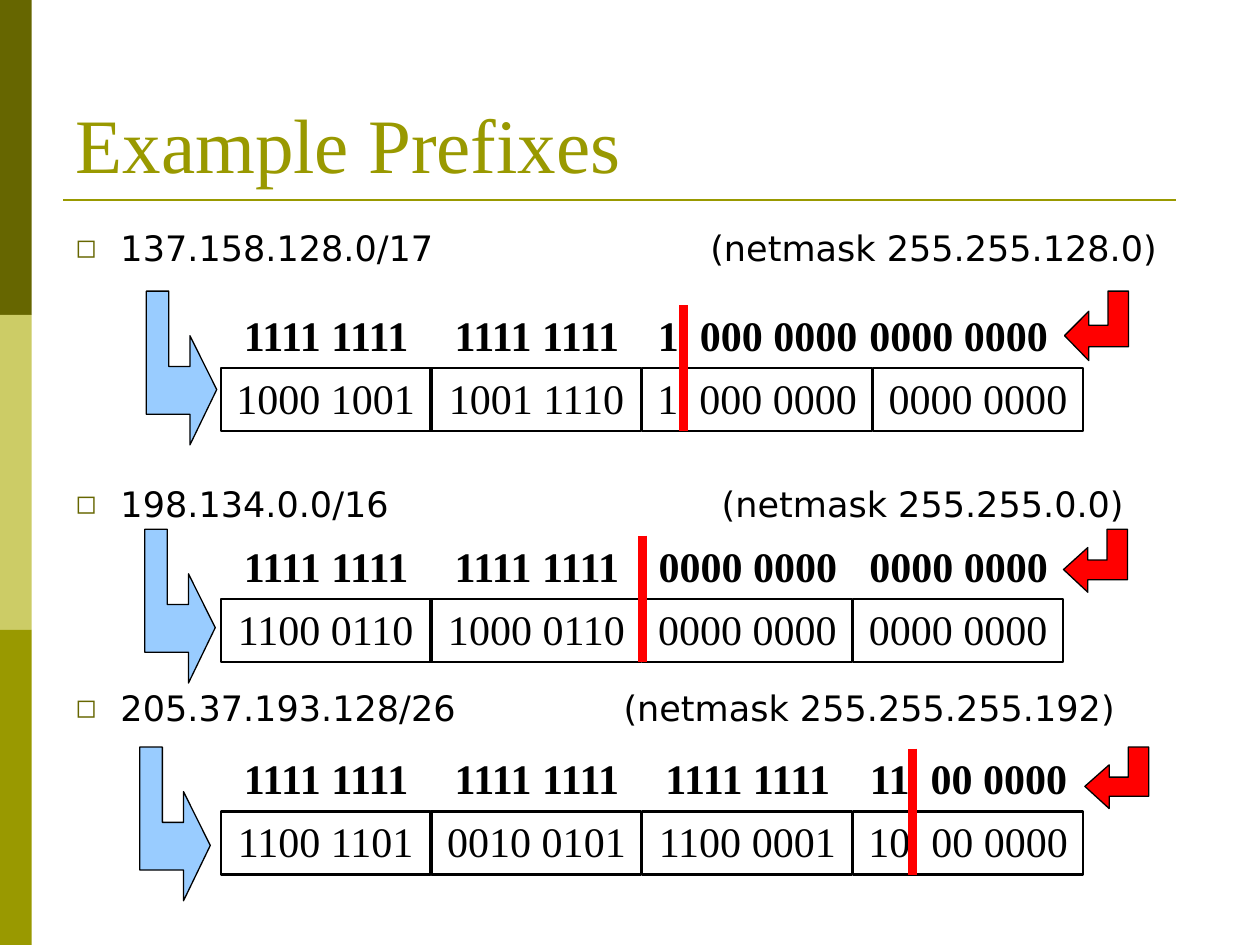
from lxml.etree import SubElement
from pptx import Presentation
from pptx.dml.color import RGBColor
from pptx.enum.shapes import MSO_CONNECTOR, MSO_SHAPE
from pptx.enum.text import MSO_ANCHOR, MSO_AUTO_SIZE, PP_ALIGN
from pptx.oxml.ns import qn
from pptx.util import Cm, Pt

THEME = {
    "dark": "666600", "light": "CCCC66", "olive": "999900",
    "ink": "000000", "blue": "99CCFF", "red": "FF0000",
    "serif": "Times New Roman", "sans": "DejaVu Sans",
    "title": 44, "body": 20, "bits": 24,
}

# Lengths are in cm. A "|" in the bits marks where the prefix ends.
STEP, WIDE, HIGH, LEFT = 4.25, 4.65, 1.27, 4.45
ROWS = [
    {"net": "137.158.128.0/17", "mask": "(netmask 255.255.128.0)",
     "tab": 12.8, "gap": 5, "top": 6.15, "bar": 13.78,
     "ones": ["1111 1111", "1111 1111", "1|000 0000", "0000 0000"],
     "cells": ["1000 1001", "1001 1110", "1|000 0000", "0000 0000"],
     "blue": (2.95, 5.87, 1.42, 3.1), "red": (21.46, 5.87, 1.29, 1.4)},
    {"net": "198.134.0.0/16", "mask": "(netmask 255.255.0.0)",
     "tab": 13.03, "gap": 122, "top": 10.8, "bar": 12.95,
     "ones": ["1111 1111", "1111 1111", "0000 0000", "0000 0000"],
     "cells": ["1100 0110", "1000 0110", "0000 0000", "0000 0000"],
     "blue": (2.92, 10.67, 1.42, 3.1), "red": (21.44, 10.67, 1.29, 1.27)},
    {"net": "205.37.193.128/26", "mask": "(netmask 255.255.255.192)",
     "tab": 11.05, "gap": 92.7, "top": 15.09, "bar": 18.39,
     "ones": ["1111 1111", "1111 1111", "1111 1111", "11|00 0000"],
     "cells": ["1100 1101", "0010 0101", "1100 0001", "10|00 0000"],
     "blue": (2.82, 15.06, 1.42, 3.1), "red": (21.87, 15.06, 1.29, 1.24)},
]

# Bent arrow that points right, as shares of its width and height
BENT = [(0.62, 0.29), (0.62, 0.49), (0.32, 0.49), (0.32, 0), (0, 0),
        (0, 0.8), (0.62, 0.8), (0.62, 1), (1, 0.64)]


def rgb(name):
    return RGBColor.from_string(THEME[name])


def put(item, **vals):
    for key, val in vals.items():
        setattr(item, key, val)


def place(item, *box):
    put(item, **dict(zip(("left", "top", "width", "height"), map(Cm, box))))


def style(font, face, size, ink, bold=False):
    put(font, name=THEME[face], size=Pt(THEME[size]), bold=bold)
    font.color.rgb = rgb(ink)


def paint(shape, fill=None, line=None, width=0.75):
    shape.shadow.inherit = False
    if fill:
        shape.fill.solid()
        shape.fill.fore_color.rgb = rgb(fill)
    else:
        shape.fill.background()
    if line:
        shape.line.color.rgb = rgb(line)
        shape.line.width = Pt(width)
    else:
        shape.line.fill.background()


def rect(shapes, *box):
    return shapes.add_shape(MSO_SHAPE.RECTANGLE, *map(Cm, box))


def rule(shapes, ends, ink, width):
    line = shapes.add_connector(MSO_CONNECTOR.STRAIGHT, *map(Cm, ends))
    line.line.color.rgb = rgb(ink)
    line.line.width = Pt(width)
    SubElement(line._element.spPr, qn("a:effectLst"))


def write(shape, text, bold=False):
    """Centre the bits, with a wider space where the prefix ends."""
    frame = shape.text_frame
    put(frame, word_wrap=True, vertical_anchor=MSO_ANCHOR.TOP,
        margin_left=Cm(0.1), margin_right=Cm(0.1),
        margin_top=Cm(0.18), margin_bottom=Cm(0.13))
    para = frame.paragraphs[0]
    put(para, alignment=PP_ALIGN.CENTER, line_spacing=0.93)
    head, cut, tail = text.partition("|")
    for part in (head, " ", tail) if cut else (head,):
        run = para.add_run()
        run.text = part
        style(run.font, "serif", "bits", "ink", bold)
        if part == " ":
            run.font._element.set("spc", "600")


def arrow(shapes, box, fill, flip=False):
    left, top, wide, high = box
    spots = [(Cm(left + wide * (1 - x if flip else x)), Cm(top + high * y))
             for x, y in BENT]
    path = shapes.build_freeform(*spots[0])
    path.add_line_segments(spots[1:], close=True)
    paint(path.convert_to_shape(), fill, "ink")


def label(para, row):
    """Bulleted network with its netmask at a tab stop."""
    para.text = f"{row['net']}\t{row['mask']}"
    para.space_before = Pt(row["gap"])
    for run in para.runs:
        style(run.font, "sans", "body", "ink")
    props = para._p.get_or_add_pPr()
    props.set("marL", str(Cm(0.91)))
    props.set("indent", str(-Cm(0.91)))
    tint = SubElement(props, qn("a:buClr"))
    SubElement(tint, qn("a:srgbClr"), val=THEME["dark"])
    SubElement(props, qn("a:buSzPct"), val="75000")
    SubElement(props, qn("a:buFont"), typeface=THEME["sans"])
    SubElement(props, qn("a:buChar"), char="◻")
    tabs = SubElement(props, qn("a:tabLst"))
    SubElement(tabs, qn("a:tab"), pos=str(Cm(row["tab"])), algn="l")


def bits(shapes, row):
    """Netmask bits above the boxed address bits, and the prefix bar."""
    top, x = row["top"], LEFT
    for col, (ones, cell) in enumerate(zip(row["ones"], row["cells"])):
        wide = WIDE if "|" in cell else STEP
        box = rect(shapes, x, top + HIGH, wide - 0.02, HIGH)
        paint(box, line="ink", width=1.25)
        write(box, cell)
        span = WIDE if "|" in ones else STEP
        spot = (LEFT + col * STEP, top, span, HIGH)
        write(shapes.add_textbox(*map(Cm, spot)), ones, bold=True)
        x += wide
    rule(shapes, (row["bar"], top, row["bar"], top + 2 * HIGH), "red", 5)


def main():
    deck = Presentation()
    put(deck, slide_width=Cm(25.4), slide_height=Cm(19.05))
    slide = deck.slides.add_slide(deck.slide_layouts[5])
    shapes = slide.shapes

    for num, tone in enumerate(("dark", "light", "olive")):
        paint(rect(shapes, 0, num * 6.35, 0.64, 6.35), tone)
    rule(shapes, (1.27, 4.03, 23.7, 4.03), "olive", 1.5)

    title = shapes.title
    place(title, 1.27, 0.76, 22.86, 3.18)
    title.text = "Example Prefixes"
    put(title.text_frame, vertical_anchor=MSO_ANCHOR.BOTTOM,
        auto_size=MSO_AUTO_SIZE.NONE)
    para = title.text_frame.paragraphs[0]
    para.alignment = PP_ALIGN.LEFT
    style(para.runs[0].font, "serif", "title", "olive")

    body = shapes.add_textbox(*map(Cm, (1.27, 4.45, 22.86, 12.57)))
    frame = body.text_frame
    frame.word_wrap = True
    for num, row in enumerate(ROWS):
        label(frame.add_paragraph() if num else frame.paragraphs[0], row)
        bits(shapes, row)
        arrow(shapes, row["blue"], "blue")
        arrow(shapes, row["red"], "red", flip=True)
    deck.save("out.pptx")


if __name__ == "__main__":
    main()
